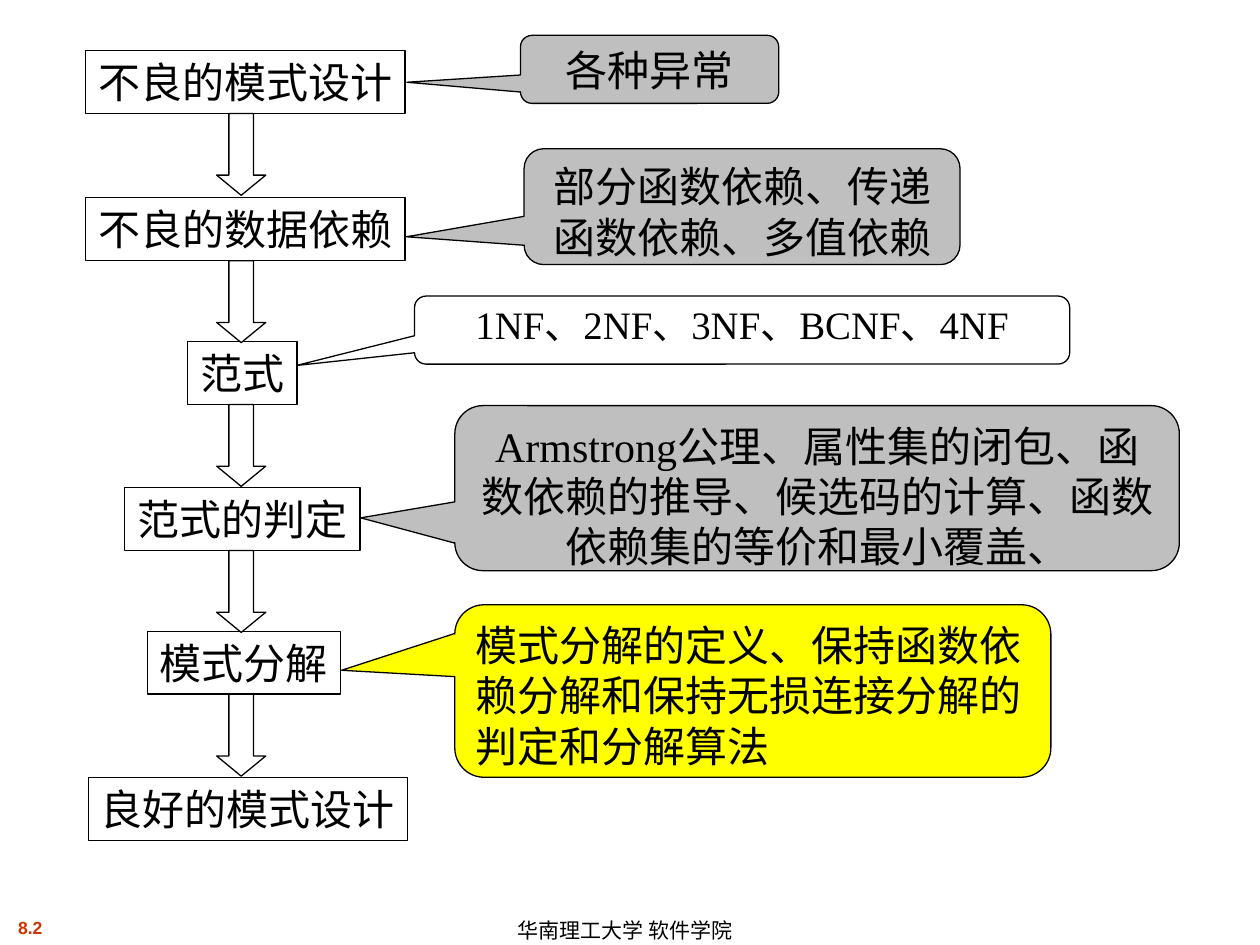
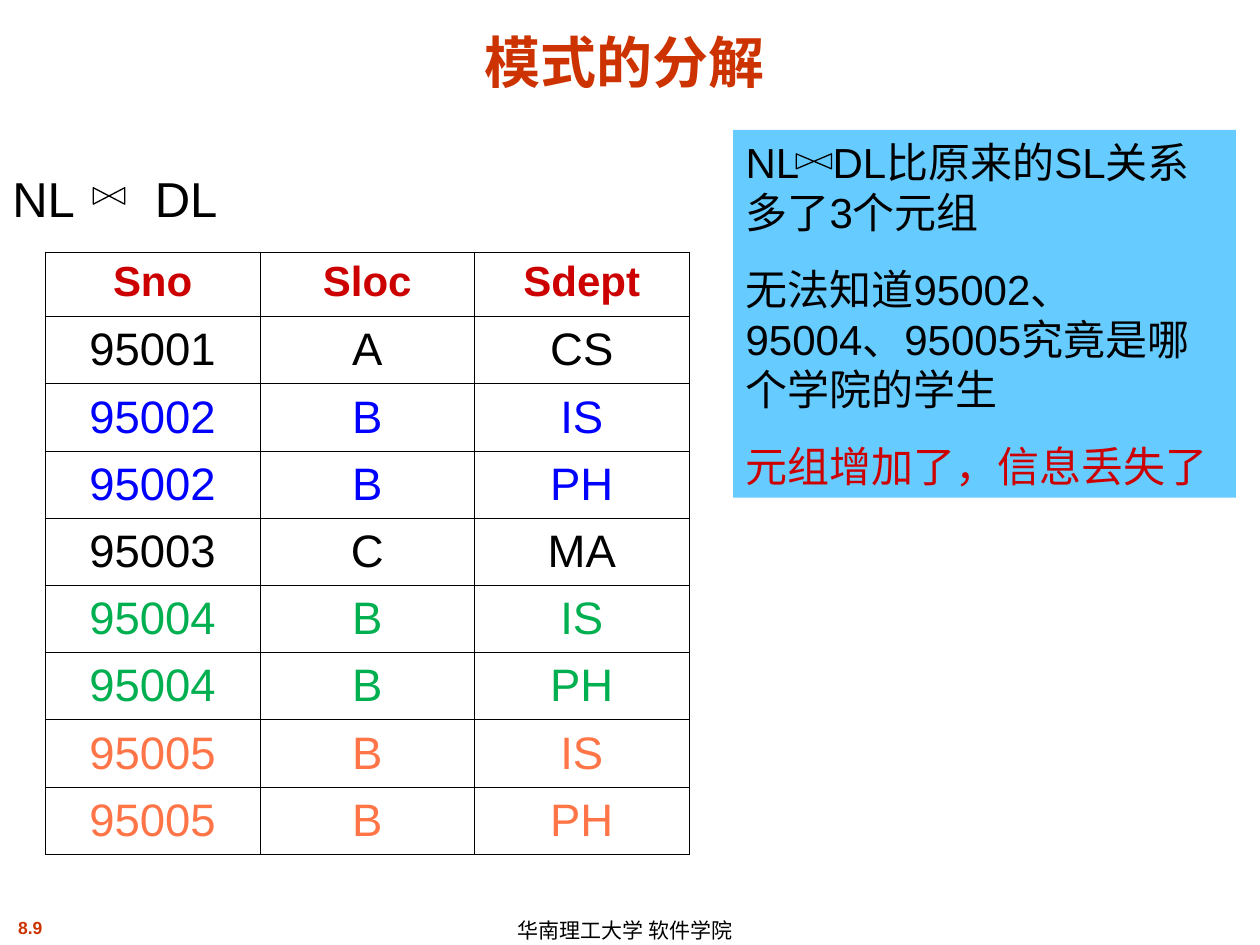
from pptx import Presentation
from pptx.dml.color import RGBColor
from pptx.enum.shapes import MSO_SHAPE as Form
from pptx.enum.text import MSO_ANCHOR as Anchor, PP_ALIGN as Align
from pptx.oxml.ns import qn
from pptx.util import Pt
from lxml.etree import SubElement

BLACK = RGBColor(0, 0, 0)
WHITE = RGBColor(255, 255, 255)
GRAY = RGBColor(0xBF, 0xBF, 0xBF)
YELLOW = RGBColor(0xFF, 0xFF, 0)
RUST = RGBColor(0xCC, 0x33, 0)
RED = RGBColor(0xCC, 0, 0)
SKY = RGBColor(0x66, 0xCC, 0xFF)
BLUE = RGBColor(0, 0, 0xFF)
GREEN = RGBColor(0, 0xB0, 0x50)
CORAL = RGBColor(0xFF, 0x75, 0x47)
SANS = "Arial"
SERIF = "Times New Roman"

STEPS = [
    ("不良的模式设计", 49, 28.8),
    ("不良的数据依赖", 49, 113),
    ("范式", 107.3, 195.1),
    ("范式的判定", 71.3, 278.6),
    ("模式分解", 84.2, 360.7),
    ("良好的模式设计", 50.4, 444.2),
]
NOTES = [
    ("各种异常", (297.4, 20.2, 147.6, 38.9), (-0.94, 0.19), GRAY, {}),
    ("部分函数依赖、传递函数依赖、多值依赖", (299.5, 85, 249.1, 66.2),
     (-0.77, 0.26), GRAY, {}),
    ("1NF、2NF、3NF、BCNF、4NF", (236.9, 169.2, 374.4, 38.9),
     (-0.68, 0.52), WHITE, {"size": 22.2, "space": 0.9}),
    ("Armstrong公理、属性集的闭包、函数依赖的推导、候选码的计算、函数依赖集的等价和最小覆盖、",
     (259.9, 231.8, 414, 94.3), (-0.63, 0.18), GRAY, {}),
    ("模式分解的定义、保持函数依赖分解和保持无损连接分解的判定和分解算法",
     (259.9, 345.6, 340.6, 98.6), (-0.69, -0.12), YELLOW, {"align": Align.LEFT}),
]
HEADS = ("Sno", "Sloc", "Sdept")
TUPLES = [
    ("95001", "A", "CS", BLACK),
    ("95002", "B", "IS", BLUE),
    ("95002", "B", "PH", BLUE),
    ("95003", "C", "MA", BLACK),
    ("95004", "B", "IS", GREEN),
    ("95004", "B", "PH", GREEN),
    ("95005", "B", "IS", CORAL),
    ("95005", "B", "PH", CORAL),
]


def points(box):
    return [Pt(n) for n in box]


def write(para, text, size=24, font=SANS, color=BLACK, bold=False,
          align=Align.LEFT, space=None, before=None, tab=None):
    if tab:
        stops = SubElement(para._p.get_or_add_pPr(), qn("a:tabLst"))
        SubElement(stops, qn("a:tab"), pos=str(Pt(tab)), algn="l")
    para.alignment = align
    if space:
        para.line_spacing = space
    if before:
        para.space_before = Pt(before)
    run = para.add_run()
    run.text = text
    run.font.size = Pt(size)
    run.font.name = font
    run.font.bold = bold
    run.font.color.rgb = color


def set_frame(shape, anchor, wrap=True):
    frame = shape.text_frame
    frame.word_wrap = wrap
    frame.vertical_anchor = anchor
    return frame


def add_text(slide, text, box, anchor=Anchor.TOP, wrap=True, **style):
    shape = slide.shapes.add_textbox(*points(box))
    write(set_frame(shape, anchor, wrap).paragraphs[0], text, **style)


def add_form(slide, form, box, fill=WHITE, line=True, adjust=()):
    shape = slide.shapes.add_shape(form, *points(box))
    shape.shadow.inherit = False
    if fill is None:
        shape.fill.background()
    else:
        shape.fill.solid()
        shape.fill.fore_color.rgb = fill
    if line:
        shape.line.color.rgb = BLACK
        shape.line.width = Pt(0.75)
    else:
        shape.line.fill.background()
    for i, value in enumerate(adjust):
        shape.adjustments[i] = value
    return shape


def add_step(slide, text, left, top):
    shape = add_form(slide, Form.RECTANGLE, (left, top, 24 * len(text) + 14.4, 36))
    frame = set_frame(shape, Anchor.MIDDLE, False)
    write(frame.paragraphs[0], text, font=SERIF, align=Align.CENTER)


def add_note(slide, text, box, tip, fill, style):
    shape = add_form(slide, Form.ROUNDED_RECTANGULAR_CALLOUT, box, fill,
                     adjust=(*tip, 0.17))
    para = set_frame(shape, Anchor.TOP).paragraphs[0]
    write(para, text, **{"font": SERIF, "align": Align.CENTER, **style})


def add_join(slide, box, fill=WHITE):
    add_form(slide, Form.FLOWCHART_COLLATE, box, fill).rotation = 90


def add_panel(slide, box, paras):
    frame = set_frame(add_form(slide, Form.RECTANGLE, box, SKY, False), Anchor.TOP)
    for i, (text, style) in enumerate(paras):
        para = frame.add_paragraph() if i else frame.paragraphs[0]
        write(para, text, before=15 if i else None, **style)


def set_edges(cell):
    props = cell._tc.get_or_add_tcPr()
    for i, side in enumerate(("lnL", "lnR", "lnT", "lnB")):
        edge = props.makeelement(qn("a:" + side), {"w": str(Pt(0.45))})
        fill = SubElement(edge, qn("a:solidFill"))
        SubElement(fill, qn("a:srgbClr"), val=str(BLACK))
        props.insert(i, edge)


def fill_cell(cell, text, pad, anchor, **style):
    cell.fill.solid()
    cell.fill.fore_color.rgb = WHITE
    cell.margin_left = cell.margin_right = Pt(pad)
    cell.vertical_anchor = anchor
    write(cell.text_frame.paragraphs[0], text, align=Align.CENTER, **style)
    set_edges(cell)


def add_grid(slide, box):
    table = slide.shapes.add_table(len(TUPLES) + 1, len(HEADS), *points(box)).table
    table.first_row = table.horz_banding = False
    for col, head in enumerate(HEADS):
        fill_cell(table.cell(0, col), head, 7.2, Anchor.TOP, color=RED, bold=True)
    for row, (*values, color) in enumerate(TUPLES, 1):
        for col, value in enumerate(values):
            fill_cell(table.cell(row, col), value, 0.72, Anchor.MIDDLE,
                      size=26, color=color)


def add_page(deck, number):
    slide = deck.slides.add_slide(deck.slide_layouts[6])
    add_text(slide, number, (-18, 520.6, 70.6, 19.4), wrap=False, size=10,
             color=RUST, bold=True, align=Align.CENTER)
    add_text(slide, "华南理工大学 软件学院", (288.7, 522, 161.3, 18),
             Anchor.MIDDLE, size=12, space=1.1)
    return slide


def add_title(slide, text):
    add_text(slide, text, (18, 9.4, 678.2, 48.2), Anchor.BOTTOM, size=32,
             color=RUST, bold=True, align=Align.CENTER)


def draw_flow(deck):
    slide = add_page(deck, "8.2")
    for step in STEPS:
        add_step(slide, *step)
    for note in NOTES:
        add_note(slide, *note)
    for _, _, top in STEPS[:-1]:
        add_form(slide, Form.DOWN_ARROW, (123.8, top + 36, 28.1, 46.8),
                 adjust=(0.5, 0.41))


def draw_join(deck):
    slide = add_page(deck, "8.9")
    add_title(slide, "模式的分解")
    add_text(slide, "NL\tDL", (0, 96.5, 160.6, 47.5), size=28, space=0.9, tab=81.4)
    add_join(slide, (57.6, 103, 9.4, 18))
    add_panel(slide, (419, 74.2, 287.3, 210.2), [
        ("NL\tDL比原来的SL关系多了3个元组", {"tab": 49.7}),
        ("无法知道95002、95004、95005究竟是哪个学院的学生", {}),
        ("元组增加了，信息丢失了", {"color": RED}),
    ])
    add_join(slide, (460.8, 82.1, 8.6, 20.2), None)
    add_grid(slide, (25.9, 144, 367.9, 331.9))


def main():
    deck = Presentation()
    deck.slide_width = Pt(720)
    deck.slide_height = Pt(540)
    draw_flow(deck)
    draw_join(deck)
    deck.save("out.pptx")


if __name__ == "__main__":
    main()
